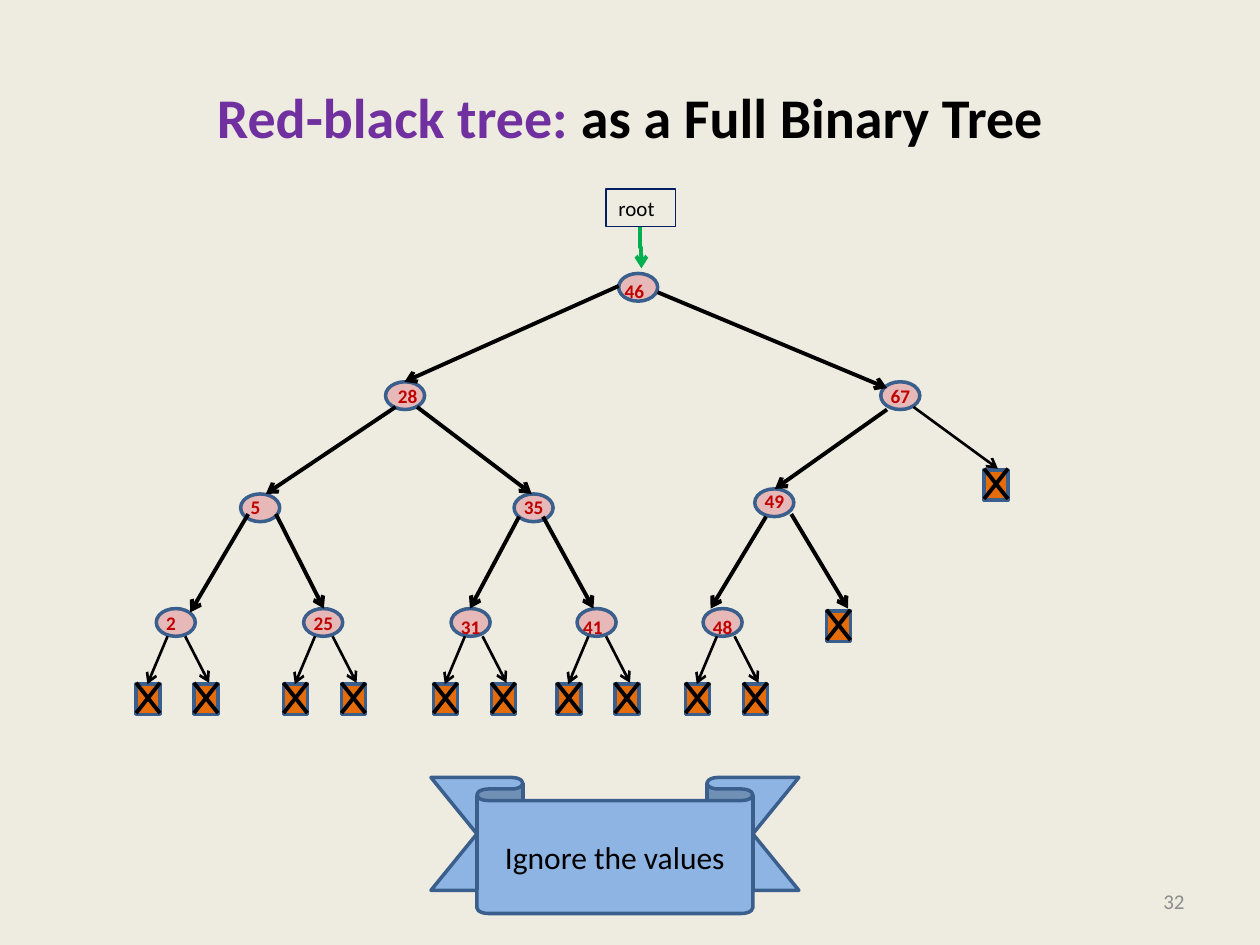
from pptx import Presentation
from pptx.dml.color import RGBColor
from pptx.enum.shapes import MSO_CONNECTOR, MSO_SHAPE
from pptx.enum.text import MSO_ANCHOR, PP_ALIGN
from pptx.oxml.ns import qn
from pptx.util import Inches, Pt
from lxml.etree import SubElement

CREAM = RGBColor(0xEE, 0xEC, 0xE1)
PURPLE = RGBColor(0x70, 0x30, 0xA0)
BLACK = RGBColor(0, 0, 0)
GRAY = RGBColor(0x8C, 0x8C, 0x8C)
PINK = RGBColor(0xE6, 0xB9, 0xB8)
STEEL = RGBColor(0x3A, 0x5F, 0x8C)
NAVY = RGBColor(0x00, 0x20, 0x60)
GREEN = RGBColor(0x00, 0xB0, 0x50)
RED = RGBColor(0xC0, 0, 0)
ORANGE = RGBColor(0xE4, 0x6C, 0x0A)
SKY = RGBColor(0x8E, 0xB4, 0xE3)

# The slide is a grid of 100 columns by 75 rows
COLS, ROWS = 100, 75
CELL = Inches(0.1)

# Value: left, top of the node, then the shift of its label
NODES = {
    "46": (49.1, 21.7, -0.5, 0),
    "67": (69.9, 30.3, -0.2, -0.3),
    "5": (19.1, 39.2, -0.2, -0.4),
    "49": (59.9, 38.8, -0.2, -0.5),
    "35": (40.8, 39.2, -0.2, -0.4),
    "28": (30.6, 30.3, 0, -0.3),
    "2": (12.4, 48.3, -0.2, -0.3),
    "25": (24.1, 48.3, -0.2, -0.3),
    "31": (35.8, 48.3, -0.2, 0),
    "41": (45.8, 48.3, -0.5, 0),
    "48": (55.8, 48.3, -0.2, 0),
}
EDGES = [
    (49.1, 22.7, 32.1, 30.3), (52.2, 23.2, 70.4, 30.8),
    (31.4, 32.3, 21.1, 39.2), (33.1, 32.3, 42.2, 39.2),
    (70.4, 32.5, 61.5, 38.8), (19.7, 40.8, 15.1, 48.6),
    (21.9, 40.8, 25.7, 48.3), (41.2, 41, 37.3, 48.3),
    (43.1, 41, 47.1, 48.3), (60.8, 41, 56.4, 48.3),
    (62.8, 40.8, 67.3, 48.3),
]
# Left edge of each pair of leaves on the last level
PAIRS = [10.8, 22.5, 34.4, 44.2, 54.4]
GAP = 4.6
LEAF_TOP = 54.3
LEAF_W, LEAF_H = 1.9, 2.4


def grid(*spots):
    return [round(spot * CELL) for spot in spots]


def write(shape, *runs, size=12, bold=False, align=PP_ALIGN.LEFT,
          anchor=MSO_ANCHOR.TOP, wrap=True):
    """Fill a shape with one line made of (text, color) runs."""
    frame = shape.text_frame
    frame.word_wrap = wrap
    frame.vertical_anchor = anchor
    line = frame.paragraphs[0]
    line.alignment = align
    for text, color in runs:
        run = line.add_run()
        run.text = text
        run.font.name = "Calibri"
        run.font.size = Pt(size)
        run.font.bold = bold
        run.font.color.rgb = color


def label(slide, place, *runs, **style):
    write(slide.shapes.add_textbox(*grid(*place)), *runs, **style)


def draw(slide, kind, place, fill=None, color=STEEL, width=2):
    shape = slide.shapes.add_shape(kind, *grid(*place))
    shape.shadow.inherit = False
    if fill is None:
        shape.fill.background()
    else:
        shape.fill.solid()
        shape.fill.fore_color.rgb = fill
    shape.line.color.rgb = color
    shape.line.width = Pt(width)
    return shape


def link(slide, ends, width=2.25, color=BLACK, arrow=True,
         kind=MSO_CONNECTOR.STRAIGHT):
    line = slide.shapes.add_connector(kind, *grid(*ends))
    line.line.color.rgb = color
    line.line.width = Pt(width)
    if arrow:
        SubElement(line.line._get_or_add_ln(), qn("a:tailEnd"), type="arrow")
    SubElement(line._element.spPr, qn("a:effectLst"))
    return line


def leaf(slide, left, top):
    """An empty leaf: a crossed box."""
    draw(slide, MSO_SHAPE.RECTANGLE, (left, top, LEAF_W, LEAF_H), ORANGE)
    right, high = left + LEAF_W, top - 0.1
    low = high + LEAF_H
    link(slide, (right, high, left, low), arrow=False)
    link(slide, (left, high, right, low), arrow=False)


def tree(slide):
    for left, top, _, _ in NODES.values():
        draw(slide, MSO_SHAPE.OVAL, (left, top, 3.1, 2.2), PINK)
    for ends in EDGES:
        link(slide, ends)
    for value, (left, top, right, down) in NODES.items():
        width = 2.8 if len(value) == 1 else 3.6
        label(slide, (left + right, top + down, width, 2.9), (value, RED),
              size=11, bold=True, wrap=False)


def root(slide):
    # A bent arrow, turned to run from top to bottom
    line = link(slide, (52.5, 19.6, 49.2, 19.7), color=GREEN,
                kind=MSO_CONNECTOR.ELBOW)
    line._element.spPr.find(qn("a:xfrm")).set("rot", str(270 * 60000))
    box = draw(slide, MSO_SHAPE.RECTANGLE, (48.1, 15, 5.5, 3),
               color=NAVY, width=0.75)
    write(box, ("root", BLACK))


def leaves(slide):
    for left in PAIRS:
        leaf(slide, left, LEAF_TOP)
        link(slide, (left + 2.5, 50.5, left + 0.9, LEAF_TOP), width=1.5)
        right = left + GAP
        leaf(slide, right, LEAF_TOP)
        link(slide, (right - 0.7, 50.5, right + 1.2, 54.2), width=1.5)
    leaf(slide, 65.6, 48.5)
    leaf(slide, 78.1, 37.3)
    link(slide, (72.5, 32.3, 79.2, 37.2), width=1.5)


def banner(slide):
    shape = draw(slide, MSO_SHAPE.DOWN_RIBBON, (34.2, 61.7, 29.2, 10.8), SKY)
    shape.adjustments[0] = 0.17
    shape.adjustments[1] = 0.75
    write(shape, ("Ignore the values", BLACK), size=18,
          align=PP_ALIGN.CENTER, anchor=MSO_ANCHOR.MIDDLE)


def main():
    deck = Presentation()
    deck.slide_width, deck.slide_height = COLS * CELL, ROWS * CELL
    slide = deck.slides.add_slide(deck.slide_layouts[6])
    slide.background.fill.solid()
    slide.background.fill.fore_color.rgb = CREAM

    # Title and page number
    label(slide, (5, 3, 90, 12.5), ("Red-black tree: ", PURPLE),
          ("as a Full Binary Tree", BLACK), size=32, bold=True,
          align=PP_ALIGN.CENTER, anchor=MSO_ANCHOR.MIDDLE)
    label(slide, (71.7, 69.5, 23.3, 4), ("32", GRAY),
          align=PP_ALIGN.RIGHT, anchor=MSO_ANCHOR.MIDDLE)

    # Tree with its root pointer and empty leaves
    tree(slide)
    root(slide)
    leaves(slide)
    banner(slide)
    deck.save("out.pptx")


if __name__ == "__main__":
    main()
